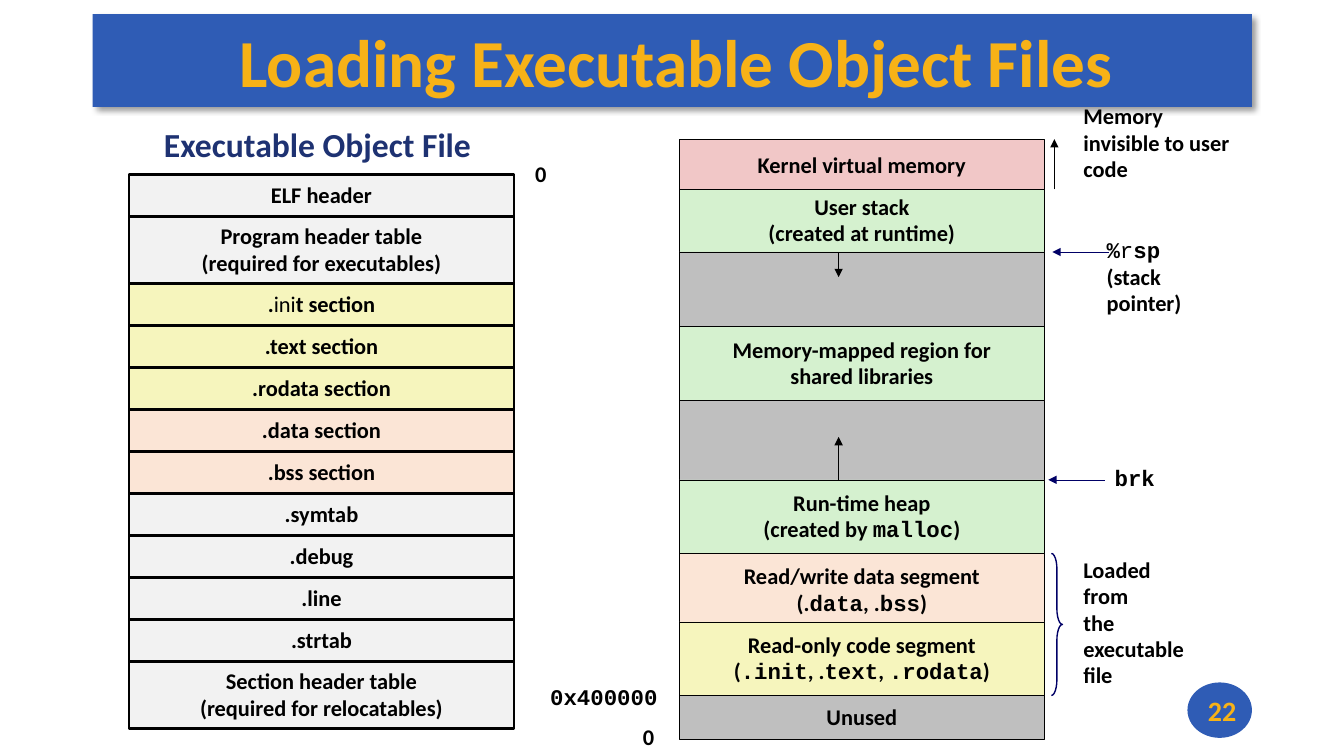
from dataclasses import dataclass
from itertools import accumulate

from lxml.etree import SubElement
from pptx import Presentation
from pptx.dml.color import RGBColor
from pptx.enum.shapes import MSO_CONNECTOR, MSO_SHAPE
from pptx.enum.text import MSO_ANCHOR, MSO_AUTO_SIZE, PP_ALIGN
from pptx.oxml.ns import qn
from pptx.util import Inches, Pt


@dataclass(frozen=True)
class Theme:
    """Colours, fonts and sizes of the slide."""
    blue: str = "2F5CB5"
    gold: str = "F7B217"
    navy: str = "1E3272"
    ink: str = "000000"
    pointer: str = "000066"
    header: str = "F2F2F2"
    code: str = "F6F5BD"
    data: str = "FBE5D6"
    kernel: str = "F1C7C7"
    dynamic: str = "D5F1CF"
    unused: str = "BFBFBF"
    sans: str = "Calibri"
    mono: str = "Courier New"
    title: int = 48
    heading: int = 24
    number: int = 20
    body: int = 16
    thick: float = 2
    brace: float = 1
    hair: float = 0.25
    spacing: float = 0.98


T = Theme()
COLS, ROWS = 160, 90
WIDTH, HEIGHT = Inches(13.33), Inches(7.5)


def place(x, y, w, h):
    """Turn grid columns and rows into slide lengths."""
    return (int(x * WIDTH / COLS), int(y * HEIGHT / ROWS),
            int(w * WIDTH / COLS), int(h * HEIGHT / ROWS))


def rgb(color):
    """Return the colour of a hex string."""
    return RGBColor.from_string(color)


def split_runs(line):
    """Yield text, font and boldness; backticks mark code, tildes light text."""
    for i, part in enumerate(line.split("`")):
        for j, text in enumerate(part.split("~")):
            if text:
                yield text, T.mono if i % 2 else T.sans, j % 2 == 0


def write(tf, lines, size=T.body, color=T.ink, align=PP_ALIGN.CENTER, spacing=T.spacing):
    """Write the lines as paragraphs with mixed fonts."""
    for i, line in enumerate(lines):
        p = tf.paragraphs[0] if i == 0 else tf.add_paragraph()
        p.alignment, p.line_spacing = align, spacing
        runs = list(split_runs(line))
        face = runs[0][1]
        p.font.name, p.font.size, p.font.bold = face, Pt(size), True
        p.font.color.rgb = rgb(color)
        for text, name, bold in runs:
            r = p.add_run()
            r.text = text
            if name != face:
                r.font.name = name
            if not bold:
                r.font.bold = False


def add_block(s, box, fill, line=None, kind=MSO_SHAPE.RECTANGLE):
    """Add a filled shape with an outline of the given width."""
    sp = s.shapes.add_shape(kind, *place(*box))
    sp.shadow.inherit = False
    sp.fill.solid()
    sp.fill.fore_color.rgb = rgb(fill)
    if line:
        sp.line.color.rgb, sp.line.width = rgb(T.ink), Pt(line)
    else:
        sp.line.fill.background()
    sp.text_frame.word_wrap = False
    sp.text_frame.vertical_anchor = MSO_ANCHOR.MIDDLE
    return sp


def add_label(s, box, lines, wrap=False, align=PP_ALIGN.LEFT, **style):
    """Add a free text label."""
    sp = s.shapes.add_textbox(*place(*box))
    tf = sp.text_frame
    tf.word_wrap, tf.auto_size = wrap, MSO_AUTO_SIZE.SHAPE_TO_FIT_TEXT
    write(tf, lines, align=align, **style)
    return sp


def add_arrow(s, x1, y1, x2, y2, color=T.ink):
    """Add a thin arrow between two grid points."""
    c = s.shapes.add_connector(MSO_CONNECTOR.STRAIGHT, *place(x1, y1, x2, y2))
    c.line.color.rgb, c.line.width = rgb(color), Pt(T.hair)
    SubElement(c.line._get_or_add_ln(), qn("a:tailEnd"), type="triangle")
    SubElement(c.element.spPr, qn("a:effectLst"))
    return c


def add_banner(s, box):
    """Place the title on its shadowed banner."""
    banner, title = add_block(s, box, T.blue), s.shapes.title
    shadow = SubElement(banner.element.spPr.find(qn("a:effectLst")), qn("a:outerShdw"),
                        blurRad=str(Pt(4)), dist=str(Pt(3)), dir="2700000", rotWithShape="0")
    black = SubElement(shadow, qn("a:srgbClr"), val=T.ink)
    SubElement(black, qn("a:alpha"), val="40000")
    title.element.addprevious(banner.element)
    x, y, w, h = box
    title.left, title.top, title.width, title.height = place(x, y + 0.36, w, h - 0.72)
    tf = title.text_frame
    tf.vertical_anchor, tf.auto_size = MSO_ANCHOR.MIDDLE, MSO_AUTO_SIZE.NONE
    tf.margin_left, tf.margin_right = Inches(0.08), 0
    tf.margin_top = tf.margin_bottom = Inches(0.03)
    write(tf, ["Loading Executable Object Files"], T.title, T.gold, spacing=1)


def add_object_file(s, box):
    """Stack the sections of the object file, two-line ones taller."""
    x, y, w, h = box
    sections = [
        (T.header, ["ELF header"]),
        (T.header, ["Program header table", "(required for executables)"]),
        (T.code, [".~ini~t section"]), (T.code, [".text section"]), (T.code, [".rodata section"]),
        (T.data, [".data section"]), (T.data, [".bss section"]),
        *((T.header, [name]) for name in (".symtab", ".debug", ".line", ".strtab")),
        (T.header, ["Section header table", "(required for relocatables)"])]
    weights = [2 + 3 * len(lines) for _, lines in sections]
    unit = h / sum(weights)
    tops = accumulate(weights, initial=0)
    for (fill, lines), weight, top in zip(sections, weights, tops):
        sp = add_block(s, (x, y + top * unit, w, weight * unit), fill, T.thick)
        write(sp.text_frame, lines)
    add_label(s, (x + 2.76, y - 6.36, 39.36, 6), ["Executable Object File"],
              align=PP_ALIGN.CENTER, size=T.heading, color=T.navy)
    add_label(s, (x + w + 1.32, y - 2.16, 3.72, 4.44), ["0"])


def add_memory(s, box):
    """Stack the memory regions and point out their borders."""
    x, y, w, h = box
    regions = [
        (6, 0.36, T.kernel, ["Kernel virtual memory"]),
        (7.44, 0, T.dynamic, ["User stack", "(created at runtime)"]),
        (8.88, 0, T.unused, []),
        (8.76, 0, T.dynamic, ["Memory-mapped region for", "shared libraries"]),
        (9.48, 0, T.unused, []),
        (8.76, 0, T.dynamic, ["Run-time heap", "(created by `malloc`)"]),
        (8.16, 0.6, T.data, ["Read/write data segment", "(.`data`, .`bss`)"]),
        (8.76, 0, T.code, ["Read-only code segment", "(`.init`, .`text`, `.rodata`)"]),
        (5.16, 0, T.unused, ["Unused"])]
    tops = list(accumulate((region[0] for region in regions), initial=y))
    for (rows, overlap, fill, lines), top in zip(regions, tops):
        sp = add_block(s, (x, top, w, rows + overlap), fill, T.hair)
        write(sp.text_frame, lines)
    user, stack, heap, loaded, end = tops[1], tops[2], tops[5], tops[6], tops[8]
    right, middle = x + w, x + 18.96
    add_arrow(s, middle, stack, middle, stack + 3)
    add_arrow(s, middle, heap, middle, heap - 5.1)
    add_arrow(s, right + 1.2, user, right + 1.2, y)
    add_label(s, (right + 3.48, y - 4.8, 23, 10.8), ["Memory", "invisible to user code"], wrap=True)
    add_label(s, (right + 6.24, stack - 2.28, 11.4, 10.56), ["`%~r~sp`", "(stack", "pointer)"])
    add_arrow(s, right + 7.68, stack, right + 0.96, stack, T.pointer)
    brk = add_label(s, (right + 7.2, heap - 2.16, 7.2, 4.32), ["`brk`"], spacing=0.94)
    add_arrow(s, right + 7.2, heap, right + 0.48, heap, T.pointer).begin_connect(brk, 1)
    brace = s.shapes.add_shape(MSO_SHAPE.RIGHT_BRACE, *place(right + 0.84, loaded, 1.32, end - loaded))
    brace.shadow.inherit = False
    brace.fill.background()
    brace.line.color.rgb, brace.line.width = rgb(T.pointer), Pt(T.brace)
    brace.adjustments[0] = 1.42
    add_label(s, (right + 3.48, loaded - 0.12, 15.12, 17.04),
              ["Loaded", "from", "the", "executable", "file"])
    add_label(s, (x - 16.56, end - 1.8, 15.36, 4.32), ["`0x400000`"], spacing=0.94)
    add_label(s, (x - 5.52, y + h - 2.28, 3.72, 4.44), ["0"])


def add_page_number(s, box):
    """Place the page number in its disc."""
    tf = add_block(s, box, T.blue, kind=MSO_SHAPE.OVAL).text_frame
    tf.margin_left, tf.margin_right = Inches(0.05), 0
    write(tf, ["22"], T.number, T.gold, spacing=1)


def main():
    """Build and save the slide."""
    prs = Presentation()
    prs.slide_width, prs.slide_height = WIDTH, HEIGHT
    s = prs.slides.add_slide(prs.slide_layouts[5])
    add_banner(s, (11.04, 1.68, 138, 11.04))
    add_object_file(s, (15.36, 20.76, 45.84, 66))
    add_memory(s, (80.88, 16.56, 43.44, 71.4))
    add_page_number(s, (141.36, 81.24, 7.68, 6.6))
    prs.save("out.pptx")


if __name__ == "__main__":
    main()
